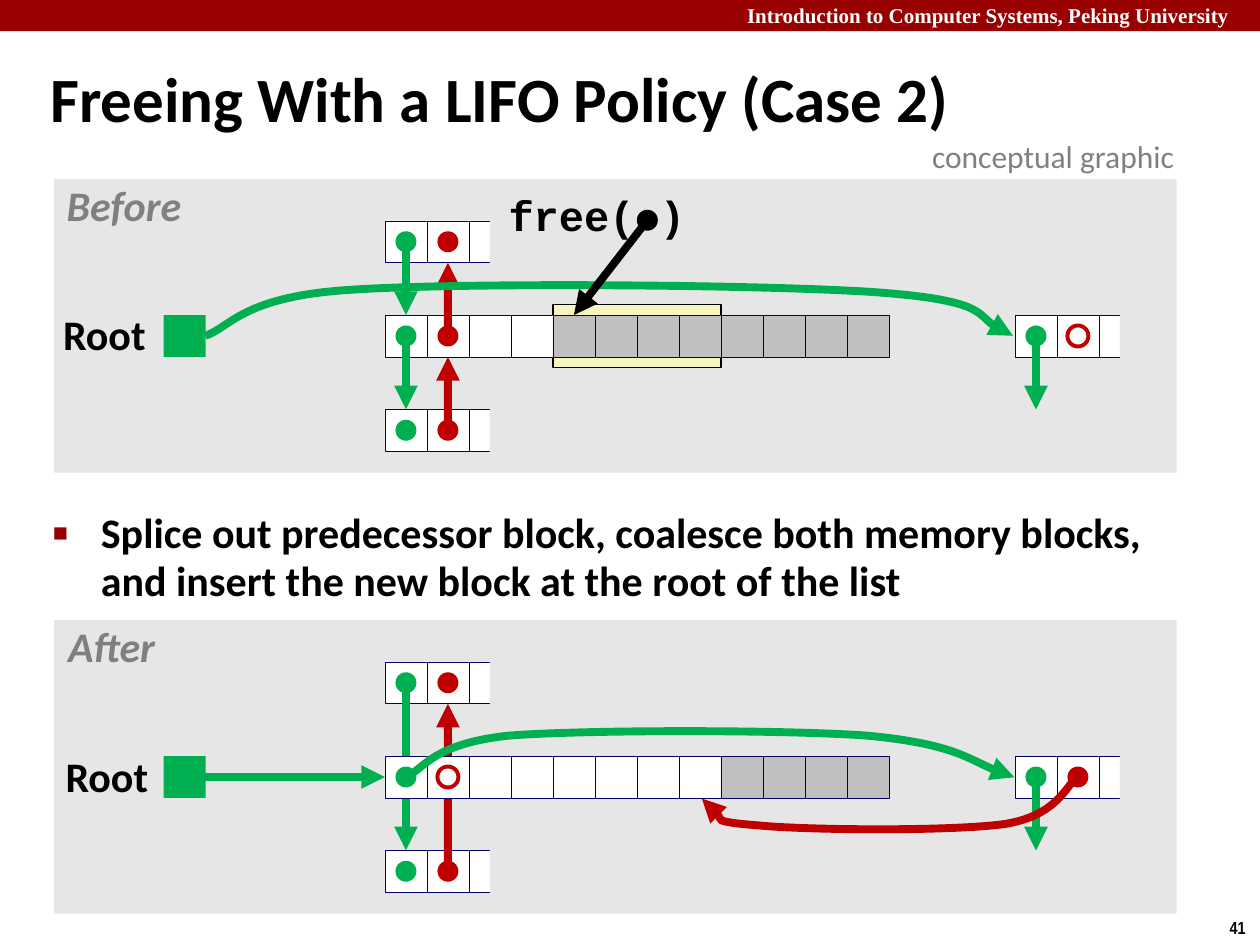
from dataclasses import dataclass

from lxml import etree
from pptx import Presentation
from pptx.dml import color as dml
from pptx.enum import shapes as kinds, text as txt
from pptx.oxml import ns
from pptx.util import Cm, Pt


@dataclass
class Theme:
    bar: str = "990000"
    panel: str = "E6E6E6"
    white: str = "FFFFFF"
    black: str = "000000"
    grey: str = "808080"
    used: str = "C0C0C0"
    glow: str = "F6F5BD"
    edge: str = "000066"
    green: str = "00B050"
    red: str = "C00000"
    sans: str = "Calibri"
    mono: str = "Courier New"
    serif: str = "Times New Roman"
    slim: str = "Arial Narrow"
    title: int = 36
    body: int = 24
    note: int = 18
    head: int = 12
    page: int = 10


look = Theme()
rgb = dml.RGBColor.from_string
RECT = kinds.MSO_SHAPE.RECTANGLE
OVAL = kinds.MSO_SHAPE.OVAL

deck = Presentation()
deck.slide_width, deck.slide_height = Cm(25.4), Cm(19.05)
slide = deck.slides.add_slide(deck.slide_layouts[1])
tree = slide.shapes

side = 2.54 / 3
left = 7.76
tops = (6.35, 15.24)
step = 1.9


def mid(part, row, col):
    return left + (col + 0.5) * side, tops[part] + row * step + side / 2


def box(kind, x, y, w, h, fill=None, line=None, width=0.25):
    shape = tree.add_shape(kind, Cm(x), Cm(y), Cm(w), Cm(h))
    shape.shadow.inherit = False
    if fill:
        shape.fill.solid()
        shape.fill.fore_color.rgb = rgb(fill)
    else:
        shape.fill.background()
    if line:
        shape.line.color.rgb = rgb(line)
        shape.line.width = Pt(width)
    else:
        shape.line.fill.background()
    return shape


box(RECT, 0, 0, 25.4, 0.63, look.bar)
for top in tops:
    box(RECT, 1.09, top - 2.74, 22.63, 5.92, look.panel)
    box(RECT, 3.3, top, side, side, look.green)
box(RECT, left + 4 * side, tops[0] - side / 4, 4 * side, 1.5 * side,
    look.glow, look.black, 0.75)

cells = {}
strips = [(part, row, col) for part in (0, 1) for row, col in ((-1, 0), (1, 0), (0, 15))]
for part, row, first in strips:
    for col in range(first, first + 3):
        x, y = mid(part, row, col)
        cells[part, row, col] = box(RECT, x - side / 2, y - side / 2, side, side,
                                    look.white, look.edge)
    box(RECT, x, y - 0.75 * side, side, 1.5 * side, look.panel)

strokes = []


def link(start, end, tint, site=None):
    goal = (0, 0) if site is not None else end
    line = tree.add_connector(kinds.MSO_CONNECTOR.STRAIGHT,
                              *[Cm(v) for v in (*start, *goal)])
    if site is not None:
        line.end_connect(cells[end], site)
    strokes.append((line, tint))


link(mid(1, -1, 0), (1, 1, 0), look.green, 0)
link(mid(1, 1, 1), (1, -1, 1), look.red, 2)

for part, free in enumerate((4, 8)):
    for col in range(12):
        x, y = mid(part, 0, col)
        cells[part, 0, col] = box(RECT, x - side / 2, y - side / 2, side, side,
                                  look.white if col < free else look.used, look.edge)

for row in (-1, 0):
    link(mid(0, row, 0), (0, row + 1, 0), look.green, 0)
    link(mid(0, row + 1, 1), (0, row, 1), look.red, 2)
for part in (0, 1):
    x, y = mid(part, 0, 15)
    link((x, y), (x, y + 1.48), look.green)
link((3.94, mid(1, 0, 0)[1]), (1, 0, 0), look.green, 1)

for part, hollow in enumerate((16, 1)):
    for row, col in ((-1, 0), (-1, 1), (0, 0), (0, 1), (1, 0), (1, 1), (0, 15), (0, 16)):
        x, y = mid(part, row, col)
        tint = look.green if col in (0, 15) else look.red
        empty = row == 0 and col == hollow
        box(OVAL, x - side / 4, y - side / 4, side / 2, side / 2,
            None if empty else tint, tint if empty else None, 2.25)

curves = [
    (look.green, [(4.14, 6.77), (4.65, 6.6), (4.88, 5.97), (7.11, 5.84), (9.37, 5.69),
                  (15.39, 5.74), (17.63, 5.89), (19.84, 6.05), (19.84, 6.58), (20.42, 6.77)]),
    (look.green, [(8.18, 15.67), (8.53, 15.52), (8.71, 14.99), (10.26, 14.83), (11.81, 14.71),
                  (15.77, 14.71), (17.48, 14.83), (19.18, 14.99), (19.84, 15.49), (20.45, 15.67)]),
    (look.red, [(21.72, 15.67), (21.49, 15.82), (21.34, 16.43), (20.27, 16.61), (19.2, 16.76),
                (16.31, 16.74), (15.29, 16.64), (14.27, 16.56), (14.38, 16.23), (14.15, 16.1)]),
]
for tint, dots in curves:
    dots = [(Cm(x), Cm(y)) for x, y in dots]
    pen = tree.build_freeform(*dots[0])
    pen.add_line_segments(dots[1:], close=False)
    curve = pen.convert_to_shape()
    curve.fill.background()
    track = curve._element.xpath(".//a:path")[0]
    legs = track.findall(ns.qn("a:lnTo"))
    for n in range(0, len(legs), 3):
        bend = etree.SubElement(track, ns.qn("a:cubicBezTo"))
        for leg in legs[n:n + 3]:
            bend.append(leg[0])
            track.remove(leg)
    strokes.append((curve, tint))

title, body = tree.title, slide.placeholders[1]
for shape, spot in ((title, (0.76, 0.99, 24.2, 2.18)), (body, (0.81, 10.16, 23.09, 2.18))):
    for name, value in zip(("left", "top", "width", "height"), spot):
        setattr(shape, name, Cm(value))

bold = {"bold": True}
slant = {"bold": True, "italic": True}
wide = {"word_wrap": True}
snug = {"word_wrap": False, **{f"margin_{s}": Cm(0.13) for s in ("left", "right", "top", "bottom")}}
fixed = {"word_wrap": True, "auto_size": txt.MSO_AUTO_SIZE.NONE}
near = {"alignment": txt.PP_ALIGN.LEFT}
core = {"alignment": txt.PP_ALIGN.CENTER, "line_spacing": 0.9}
texts = [
    (title, "Freeing With a LIFO Policy (Case 2)", look.title, look.sans, look.black, bold,
     {**near, "line_spacing": 0.87}, {**fixed, "vertical_anchor": txt.MSO_ANCHOR.MIDDLE}),
    (body, "Splice out predecessor block, coalesce both memory blocks, "
     "and insert the new block at the root of the list", look.body, look.sans, look.black, bold,
     {**near, "line_spacing": 0.95, "space_before": Pt(0)}, fixed),
    ((14.81, -0.08, 10.77, 0.76), "Introduction to Computer Systems, Peking University",
     look.head, look.serif, look.white, bold, near, wide),
    ((24.54, 18.36, 0.86, 0.69), "41", look.page, look.slim, look.black, bold, near,
     {"word_wrap": False}),
    ((10.11, 3.81, 3.84, 1.19), "free( )", look.body, look.mono, look.black, bold, core, snug),
    ((1.14, 6.2, 1.93, 1.19), "Root", look.body, look.sans, look.black, bold, core, snug),
    ((1.19, 15.11, 1.93, 1.19), "Root", look.body, look.sans, look.black, bold, core, snug),
    ((1.19, 3.61, 2.62, 1.19), "Before", look.body, look.sans, look.grey, slant, core, snug),
    ((1.22, 12.5, 2.06, 1.19), "After", look.body, look.sans, look.grey, slant, core, snug),
    ((18.54, 2.64, 5.51, 1.02), "conceptual graphic", look.note, look.sans, look.grey,
     {"bold": False}, near, {"word_wrap": False}),
]
for spot, words, size, face, tint, style, para, room in texts:
    shape = tree.add_textbox(*[Cm(v) for v in spot]) if isinstance(spot, tuple) else spot
    frame = shape.text_frame
    line = frame.paragraphs[0]
    run = line.add_run()
    run.text = words
    form = {"size": Pt(size), "name": face, **style}
    for item, values in ((frame, room), (line, para), (run.font, form)):
        for name, value in values.items():
            setattr(item, name, value)
    run.font.color.rgb = rgb(tint)

props = body.text_frame.paragraphs[0]._p.get_or_add_pPr()
props.set("marL", str(Cm(0.97)))
props.set("indent", str(Cm(-0.97)))
paint = etree.SubElement(props, ns.qn("a:buClr"))
etree.SubElement(paint, ns.qn("a:srgbClr"), val=look.bar)
etree.SubElement(props, ns.qn("a:buSzPct"), val="60000")
etree.SubElement(props, ns.qn("a:buChar"), char="■")

x, y = 13.05, 4.44
box(OVAL, x - side / 4, y - side / 4, side / 2, side / 2, look.black)
link((x, y), (0, 0, 4), look.black, 0)

for shape, tint in strokes:
    shape.line.color.rgb = rgb(tint)
    shape.line.width = Pt(4.5)
    stroke = shape._element.xpath(".//a:ln")[0]
    etree.SubElement(stroke, ns.qn("a:tailEnd"), type="triangle")
    etree.SubElement(shape._element.spPr, ns.qn("a:effectLst"))

deck.save("out.pptx")
